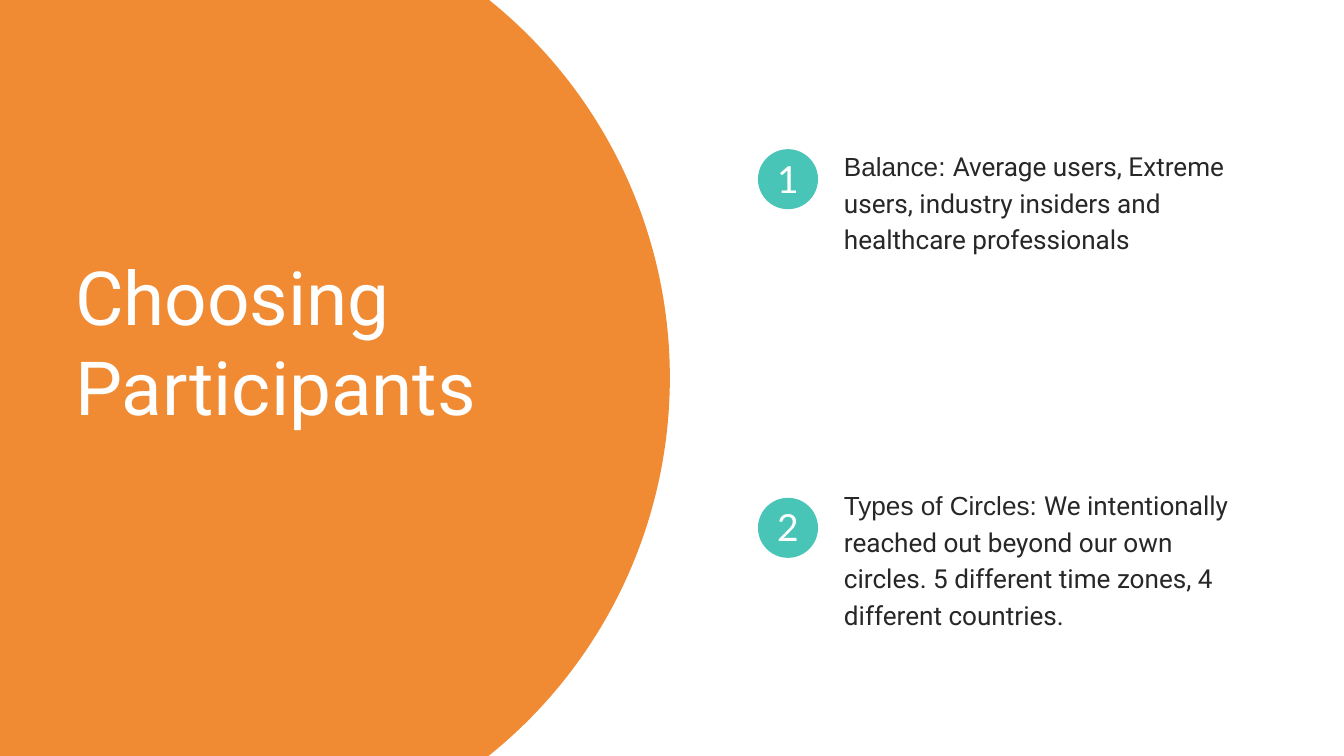
from pptx import Presentation, util as u
from pptx.dml.color import RGBColor
from pptx.enum import shapes, text

Cm, Pt = u.Cm, u.Pt


def circle(x, y, w, h, color):
    sp = s.shapes.add_shape(shapes.MSO_SHAPE.OVAL, Cm(x), Cm(y), Cm(w), Cm(h))
    sp.shadow.inherit = False
    sp.fill.solid()
    sp.fill.fore_color.rgb = RGBColor.from_string(color)
    sp.line.fill.background()


def textbox(x, y, w, h, runs, size, spacing, color, align=text.PP_ALIGN.LEFT):
    """Add one paragraph; runs is a list of (wording, font name)."""
    tf = s.shapes.add_textbox(Cm(x), Cm(y), Cm(w), Cm(h)).text_frame
    tf.margin_left = tf.margin_right = tf.margin_top = tf.margin_bottom = 0
    tf.word_wrap = True
    tf.auto_size = text.MSO_AUTO_SIZE.SHAPE_TO_FIT_TEXT
    p = tf.paragraphs[0]
    p.alignment = align
    p.line_spacing = Pt(spacing)
    p.font.size = Pt(size)
    p.font.color.rgb = RGBColor.from_string(color)
    for wording, font in runs:
        r = p.add_run()
        r.text = wording
        r.font.name = font
        r.font.size = Pt(size)
        r.font.color.rgb = RGBColor.from_string(color)


prs = Presentation()
prs.slide_width, prs.slide_height = Cm(50.8), Cm(28.58)
s = prs.slides.add_slide(prs.slide_layouts[6])

# Title on the large circle
circle(-11.1, -4.01, 36.42, 36.58, "F08B33")
textbox(2.84, 9.5, 17.83, 6.81, [("Choosing Participants", "Roboto")],
        80, 96, "FFFFFF")

# Numbered points: badge top, text top, text height, heading, wording
points = [
    (5.64, 5.49, 4.04, "Balance: ",
     "Average users, Extreme users, industry insiders and "
     "healthcare professionals"),
    (18.82, 18.31, 5.41, "Types of Circles: ",
     "We intentionally reached out beyond our own circles. "
     "5 different time zones, 4 different countries."),
]
for number, (badge_y, text_y, h, heading, wording) in enumerate(points, 1):
    circle(28.65, badge_y, 2.27, 2.27, "48C5B7")
    textbox(28.93, badge_y + 0.53, 1.7, 1.52, [(str(number), "Lato")],
            40, 40, "FFFFFF", text.PP_ALIGN.CENTER)
    textbox(31.9, text_y, 14.66, h, [(heading, "Arial"), (wording, "Roboto")],
            28, 39.2, "272727")

prs.save("out.pptx")
